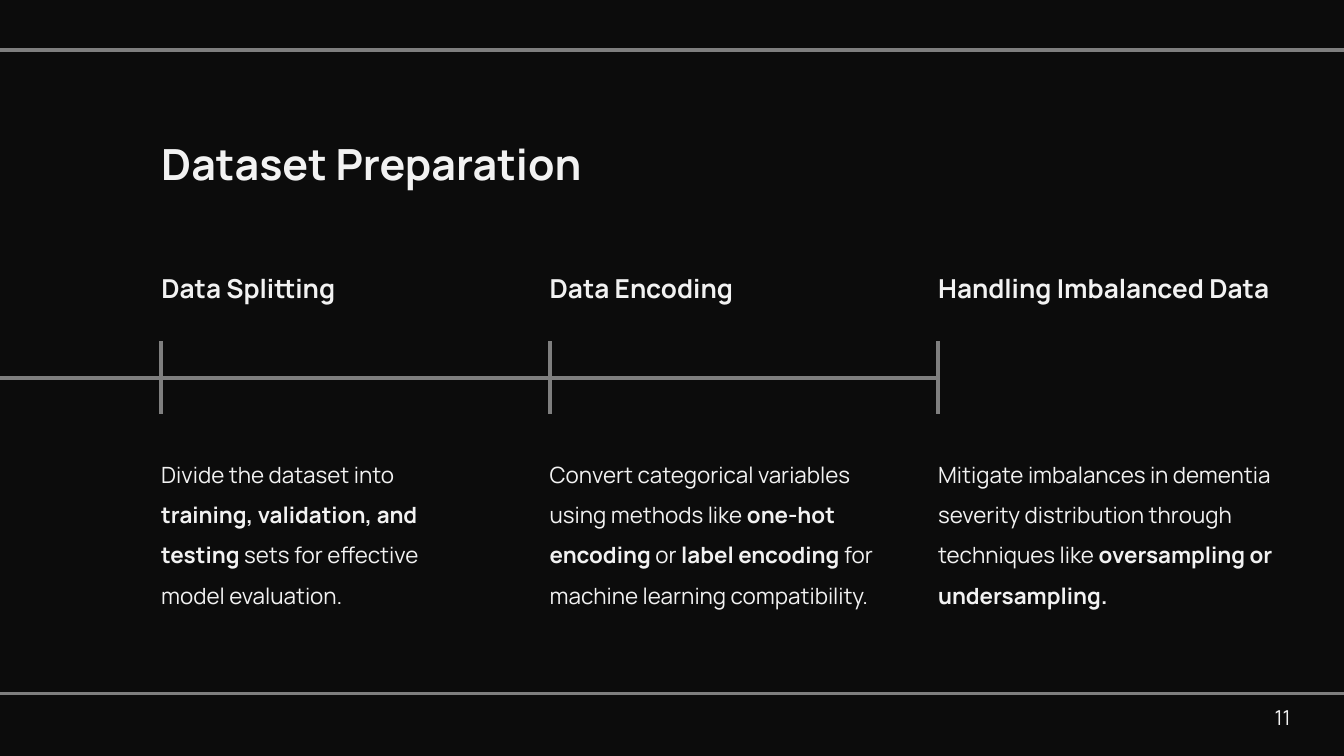
import pptx
import pptx.dml.color
import pptx.enum.shapes
import pptx.enum.text
import pptx.oxml.ns
import pptx.util
from lxml import etree

WIDTH = 10
HEIGHT = WIDTH * 9 / 16
BACKGROUND, RULE, TEXT = "0C0C0C", "7F7F7F", "F2F2F2"
FONT = "Manrope"

TITLE = "Dataset Preparation"
PAGE_NUMBER = "11"
# heading and its width, then (text, bold) runs and the size of their box
STEPS = [
    ("Data Splitting", 2.49, [
        ("Divide the dataset into ", False),
        ("training, validation, and testing", True),
        (" sets for effective model evaluation.", False),
    ], (2.5, 1.25)),
    ("Data Encoding", 1.86, [
        ("Convert categorical variables using methods like ", False),
        ("one-hot encoding ", True),
        ("or", False),
        (" label encoding", True),
        (" for machine learning compatibility.", False),
    ], (2.5, 1.55)),
    ("Handling Imbalanced Data", 2.81, [
        ("Mitigate imbalances in dementia severity distribution through "
         "techniques like", False),
        (" oversampling or undersampling.", True),
    ], (2.76, 1.55)),
]

INSET_X, INSET_Y = 0.04, 0.02
FIRST_COLUMN, COLUMN_STEP = 1.2, 2.89
TOP_RULE, BOTTOM_RULE = 0.37, 5.16
TIMELINE, TICK = 2.81, 0.27
TITLE_TOP, HEADING_TOP, BODY_TOP = 1.0, 2.02, 3.31

ALIGN = pptx.enum.text.PP_ALIGN
ANCHOR = pptx.enum.text.MSO_ANCHOR


def color(value):
    return pptx.dml.color.RGBColor.from_string(value)


def add_line(slide, x1, y1, x2, y2):
    ends = [pptx.util.Inches(value) for value in (x1, y1, x2, y2)]
    line = slide.shapes.add_connector(
        pptx.enum.shapes.MSO_CONNECTOR.STRAIGHT, *ends)
    line.line.color.rgb = color(RULE)
    line.line.width = pptx.util.Pt(2)
    etree.SubElement(line._element.spPr, pptx.oxml.ns.qn("a:effectLst"))


def add_text(slide, box, runs, size, anchor=ANCHOR.TOP, align=ALIGN.LEFT,
             spacing=1.0):
    """Add one paragraph made of (text, bold) runs."""
    shape = slide.shapes.add_textbox(*[pptx.util.Inches(v) for v in box])
    frame = shape.text_frame
    frame_format = {
        "word_wrap": True,
        "auto_size": pptx.enum.text.MSO_AUTO_SIZE.SHAPE_TO_FIT_TEXT,
        "vertical_anchor": anchor,
        "margin_left": pptx.util.Inches(INSET_X),
        "margin_right": pptx.util.Inches(INSET_X),
        "margin_top": pptx.util.Inches(INSET_Y),
        "margin_bottom": pptx.util.Inches(INSET_Y),
    }
    for name, value in frame_format.items():
        setattr(frame, name, value)
    paragraph = frame.paragraphs[0]
    paragraph.alignment = align
    paragraph.line_spacing = spacing
    for text, bold in runs:
        run = paragraph.add_run()
        run.text = text
        font_format = {"name": FONT, "size": pptx.util.Pt(size), "bold": bold}
        for name, value in font_format.items():
            setattr(run.font, name, value)
        run.font.color.rgb = color(TEXT)


def add_step(slide, x, heading, heading_width, runs, body_size):
    left = x - INSET_X
    add_text(slide, (left, HEADING_TOP, heading_width, 0.26),
             [(heading, True)], 14, anchor=ANCHOR.BOTTOM)
    add_line(slide, x, TIMELINE - TICK, x, TIMELINE + TICK)
    add_text(slide, (left, BODY_TOP, *body_size), runs, 12, spacing=1.5)


def main():
    presentation = pptx.Presentation()
    presentation.slide_width = pptx.util.Inches(WIDTH)
    presentation.slide_height = pptx.util.Inches(HEIGHT)
    slide = presentation.slides.add_slide(presentation.slide_layouts[6])
    slide.background.fill.solid()
    slide.background.fill.fore_color.rgb = color(BACKGROUND)

    for y in (TOP_RULE, BOTTOM_RULE):
        add_line(slide, 0, y, WIDTH, y)
    add_text(slide, (9.21, 5.23, 0.67, 0.21), [(PAGE_NUMBER, False)], 11,
             anchor=ANCHOR.MIDDLE, align=ALIGN.CENTER)
    add_text(slide, (FIRST_COLUMN - INSET_X, TITLE_TOP, 3.57, 0.42),
             [(TITLE, True)], 23)

    columns = [FIRST_COLUMN + COLUMN_STEP * i for i in range(len(STEPS))]
    add_line(slide, 0, TIMELINE, columns[-1], TIMELINE)
    for x, step in zip(columns, STEPS):
        add_step(slide, x, *step)

    presentation.save("out.pptx")


if __name__ == "__main__":
    main()
